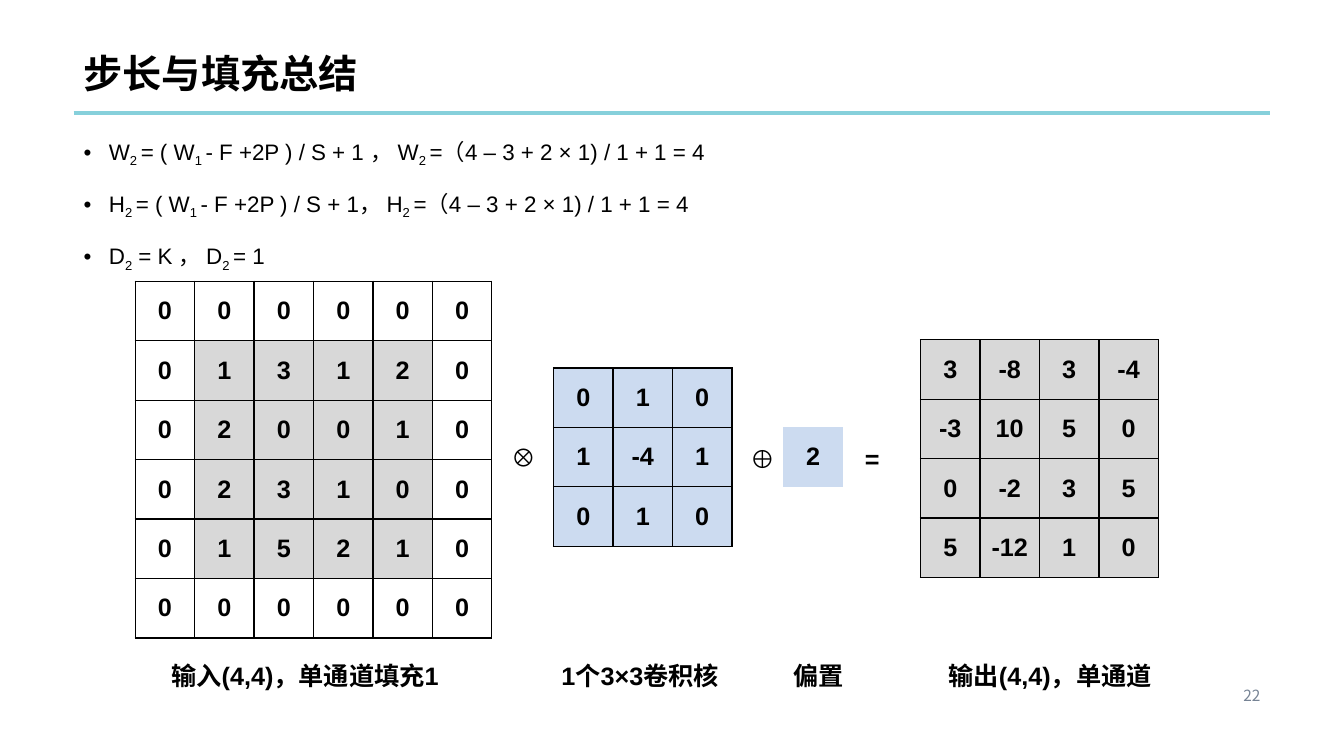
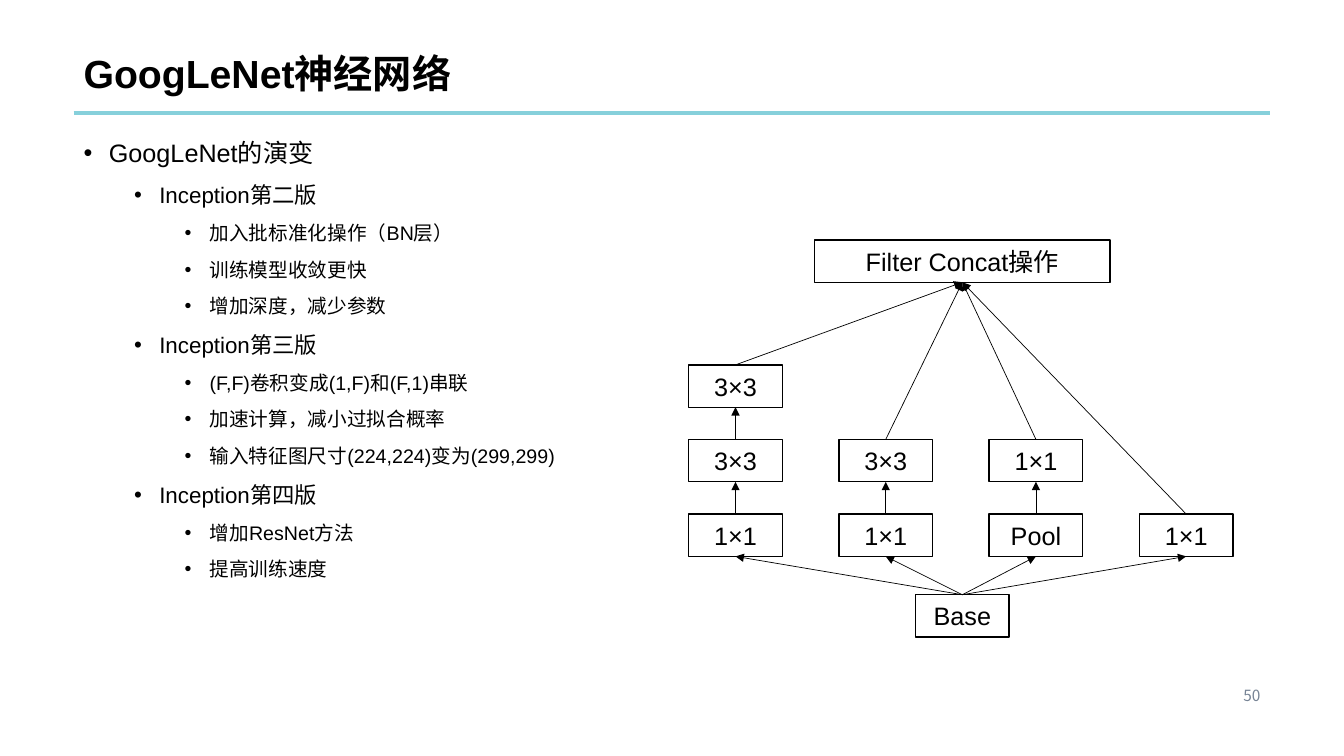
from lxml import etree
from pptx import Presentation
from pptx.dml.color import RGBColor
from pptx.enum import shapes, text
from pptx.oxml import ns
from pptx.util import Inches, Pt

COLORS = {"ink": "000000", "paper": "FFFFFF", "rule": "86D0DB", "page": "768394",
          "gray": "D8D8D8", "blue": "CCDBF0"}
LATIN, CJK = "Arial", "Noto Sans CJK SC"
NO_TABLE_STYLE = "{2D5ABB26-0587-4C30-8999-92F81FD0307C}"
LEFT, WIDTH = 0.73, 11.87
CELL = 0.59
TOP, BOTTOM = 0, 2


def rgb(name):
    return RGBColor.from_string(COLORS[name])


def add_xml(parent, tag, **attrs):
    return etree.SubElement(parent, ns.qn(tag), attrs)


class Deck:
    """Shared style plus the slide being drawn."""

    def __init__(self):
        self.prs = Presentation()
        self.prs.slide_width, self.prs.slide_height = Inches(13.33), Inches(7.5)
        self.s = None

    def format_runs(self, p, size, bold=False, color="ink", font=LATIN):
        for r in p.runs:
            r.font.size, r.font.bold, r.font.name = Pt(size), bold, font
            r.font.color.rgb = rgb(color)
            add_xml(r.font._element, "a:ea", typeface=CJK)

    def place(self, sp, x, y, w, h):
        sp.left, sp.top, sp.width, sp.height = map(Inches, (x, y, w, h))
        sp.text_frame.word_wrap = True
        sp.text_frame.auto_size = text.MSO_AUTO_SIZE.NONE

    def new_slide(self, title, number):
        self.s = self.prs.slides.add_slide(self.prs.slide_layouts[1])
        self.line(LEFT, 1.12, LEFT + WIDTH, 1.12, "rule", 3)
        self.text(number, 10.96, 6.76, 1.64, 0.29, size=11, color="page", font=CJK,
                  align=text.PP_ALIGN.RIGHT)
        sp = self.s.shapes.title
        self.place(sp, LEFT, 0, WIDTH, 1.01)
        tf = sp.text_frame
        tf.text = title
        tf.vertical_anchor = text.MSO_ANCHOR.BOTTOM
        p = tf.paragraphs[0]
        p.alignment, p.line_spacing = text.PP_ALIGN.LEFT, 0.9
        self.format_runs(p, 28, bold=True)

    def bullets(self, items):
        """Items are (level, indent, size, space before, text); ~ encloses subscripts."""
        sp = self.s.placeholders[1]
        self.place(sp, LEFT, 1.24, WIDTH, 5.48)
        tf = sp.text_frame
        for i, (level, indent, size, before, content) in enumerate(items):
            p = tf.add_paragraph() if i else tf.paragraphs[0]
            p.level, p.line_spacing = level, 1.25
            p.space_before = Pt(before if i else 0)
            pPr = p._p.get_or_add_pPr()
            pPr.set("marL", str(Inches(indent)))
            pPr.set("indent", str(Inches(-0.25)))
            add_xml(pPr, "a:buFont", typeface=LATIN)
            add_xml(pPr, "a:buChar", char="•")
            for j, part in enumerate(content.split("~")):
                if part:
                    r = p.add_run()
                    r.text = part
                    if j % 2:
                        r.font._element.set("baseline", "-25000")
            self.format_runs(p, size)

    def text(self, content, x, y, w, h=0.4, size=18, bold=False, color="ink",
             font=LATIN, align=text.PP_ALIGN.LEFT):
        sp = self.s.shapes.add_textbox(0, 0, 0, 0)
        self.place(sp, x, y, w, h)
        sp.text_frame.text = content
        p = sp.text_frame.paragraphs[0]
        p.alignment = align
        self.format_runs(p, size, bold, color, font)

    def matrix(self, x, y, rows, fill, border=True, padded=False):
        """Square-celled table; a padded one leaves its outer ring unfilled."""
        n = len(rows)
        side = Inches(CELL * n)
        table = self.s.shapes.add_table(n, n, Inches(x), Inches(y), side, side).table
        table.first_row = table.horz_banding = False
        table._tbl.tblPr.find(ns.qn("a:tableStyleId")).text = NO_TABLE_STYLE
        for i, row in enumerate(rows):
            table.rows[i].height = table.columns[i].width = Inches(CELL)
            for j, value in enumerate(row):
                cell = table.cell(i, j)
                cell.text = str(value)
                cell.vertical_anchor = text.MSO_ANCHOR.MIDDLE
                p = cell.text_frame.paragraphs[0]
                p.alignment = text.PP_ALIGN.CENTER
                self.format_runs(p, 18, bold=True)
                if border:
                    self.cell_border(cell)
                if padded and (i in (0, n - 1) or j in (0, n - 1)):
                    cell.fill.background()
                else:
                    cell.fill.solid()
                    cell.fill.fore_color.rgb = rgb(fill)

    def cell_border(self, cell):
        tcPr = cell._tc.get_or_add_tcPr()
        for side in "LRTB":
            ln = add_xml(tcPr, f"a:ln{side}", w=str(Pt(1)))
            add_xml(add_xml(ln, "a:solidFill"), "a:srgbClr", val=COLORS["ink"])

    def box(self, content, x, y, w=0.93):
        sp = self.s.shapes.add_shape(shapes.MSO_SHAPE.RECTANGLE, 0, 0, 0, 0)
        self.place(sp, x, y, w, 0.42)
        sp.shadow.inherit = False
        sp.fill.solid()
        sp.fill.fore_color.rgb = rgb("paper")
        sp.line.color.rgb, sp.line.width = rgb("ink"), Pt(1)
        tf = sp.text_frame
        tf.text = content
        tf.vertical_anchor = text.MSO_ANCHOR.MIDDLE
        tf.paragraphs[0].alignment = text.PP_ALIGN.CENTER
        self.format_runs(tf.paragraphs[0], 18)
        return sp

    def line(self, x1, y1, x2, y2, color, width):
        c = self.s.shapes.add_connector(shapes.MSO_CONNECTOR.STRAIGHT,
                                        *map(Inches, (x1, y1, x2, y2)))
        c.line.color.rgb, c.line.width = rgb(color), Pt(width)
        add_xml(c._element.spPr, "a:effectLst")
        return c

    def arrow_up(self, lower, upper):
        c = self.line(0, 0, 0, 0, "ink", 0.5)
        c.begin_connect(lower, TOP)
        c.end_connect(upper, BOTTOM)
        add_xml(c.line._get_or_add_ln(), "a:tailEnd", type="triangle")


def stride_slide(deck):
    deck.new_slide("步长与填充总结", "22")
    formulas = ["W~2 ~= ( W~1 ~- F +2P ) / S + 1 ， W~2 ~=（4 – 3 + 2 × 1) / 1 + 1 = 4",
                "H~2 ~= ( W~1 ~- F +2P ) / S + 1， H~2 ~=（4 – 3 + 2 × 1) / 1 + 1 = 4",
                "D~2~ = K ， D~2 ~= 1"]
    deck.bullets([(1, 0.25, 16, 10, f) for f in formulas])

    pixels = [[1, 3, 1, 2], [2, 0, 0, 1], [2, 3, 1, 0], [1, 5, 2, 1]]
    zeros = [0] * 6
    deck.matrix(1.34, 2.79, [zeros, *([0, *row, 0] for row in pixels), zeros],
                "gray", padded=True)
    deck.matrix(5.49, 3.65, [[0, 1, 0], [1, -4, 1], [0, 1, 0]], "blue")
    deck.matrix(7.77, 4.24, [[2]], "blue", border=False)
    deck.matrix(9.13, 3.37, [[3, -8, 3, -4], [-3, 10, 5, 0], [0, -2, 3, 5],
                             [5, -12, 1, 0]], "gray")

    deck.text("⊗", 4.97, 4.33, 0.43)
    deck.text("⊕", 7.34, 4.35, 0.43)
    deck.text("=", 8.48, 4.35, 0.35, bold=True)
    for caption, x, w in [("输入(4,4)，单通道填充1", 1.6, 2.88), ("1个3×3卷积核", 5.47, 1.83),
                          ("偏置", 7.77, 0.71), ("输出(4,4)，单通道", 9.31, 2.24)]:
        deck.text(caption, x, 6.5, w, bold=True)


def inception_slide(deck):
    deck.new_slide("GoogLeNet神经网络", "50")
    versions = {
        "Inception第二版": ["加入批标准化操作（BN层）", "训练模型收敛更快", "增加深度，减少参数"],
        "Inception第三版": ["(F,F)卷积变成(1,F)和(F,1)串联", "加速计算，减小过拟合概率",
                         "输入特征图尺寸(224,224)变为(299,299)"],
        "Inception第四版": ["增加ResNet方法", "提高训练速度"],
    }
    items = [(0, 0.25, 18, 10, "GoogLeNet的演变")]
    for version, points in versions.items():
        items.append((1, 0.75, 16, 5, version))
        items += [(2, 1.25, 14, 5, point) for point in points]
    deck.bullets(items)

    base = deck.box("Base", 9.08, 5.9)
    concat = deck.box("Filter Concat操作", 8.08, 2.38, 2.93)
    branches = [["1×1", "3×3", "3×3"], ["1×1", "3×3"], ["Pool", "1×1"], ["1×1"]]
    for col, layers in enumerate(branches):
        boxes = [deck.box(layer, 6.83 + 1.49 * col, 5.1 - 0.74 * row)
                 for row, layer in enumerate(layers)]
        chain = [base, *boxes, concat]
        for lower, upper in zip(chain, chain[1:]):
            deck.arrow_up(lower, upper)


def main():
    deck = Deck()
    stride_slide(deck)
    inception_slide(deck)
    deck.prs.save("out.pptx")


if __name__ == "__main__":
    main()
